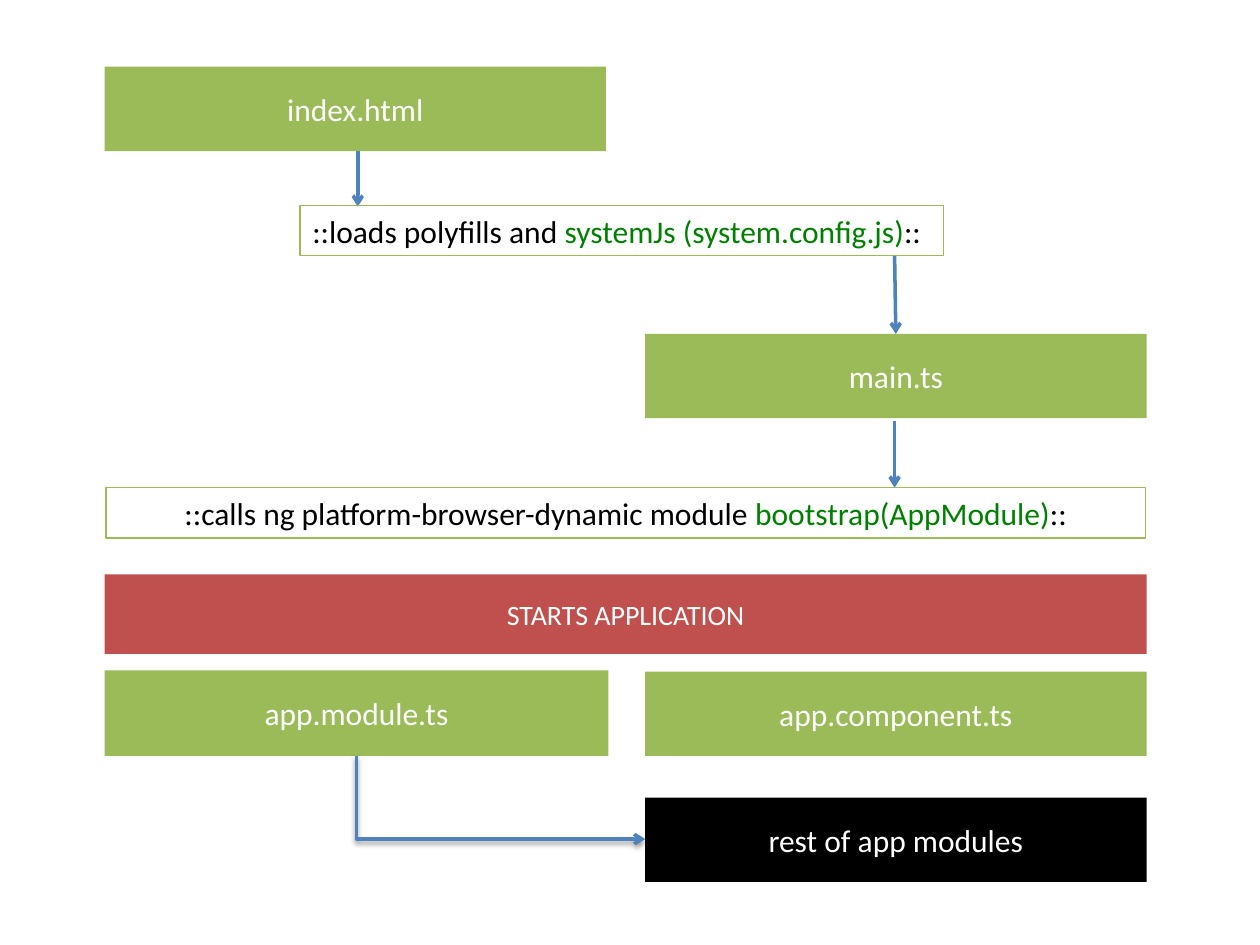
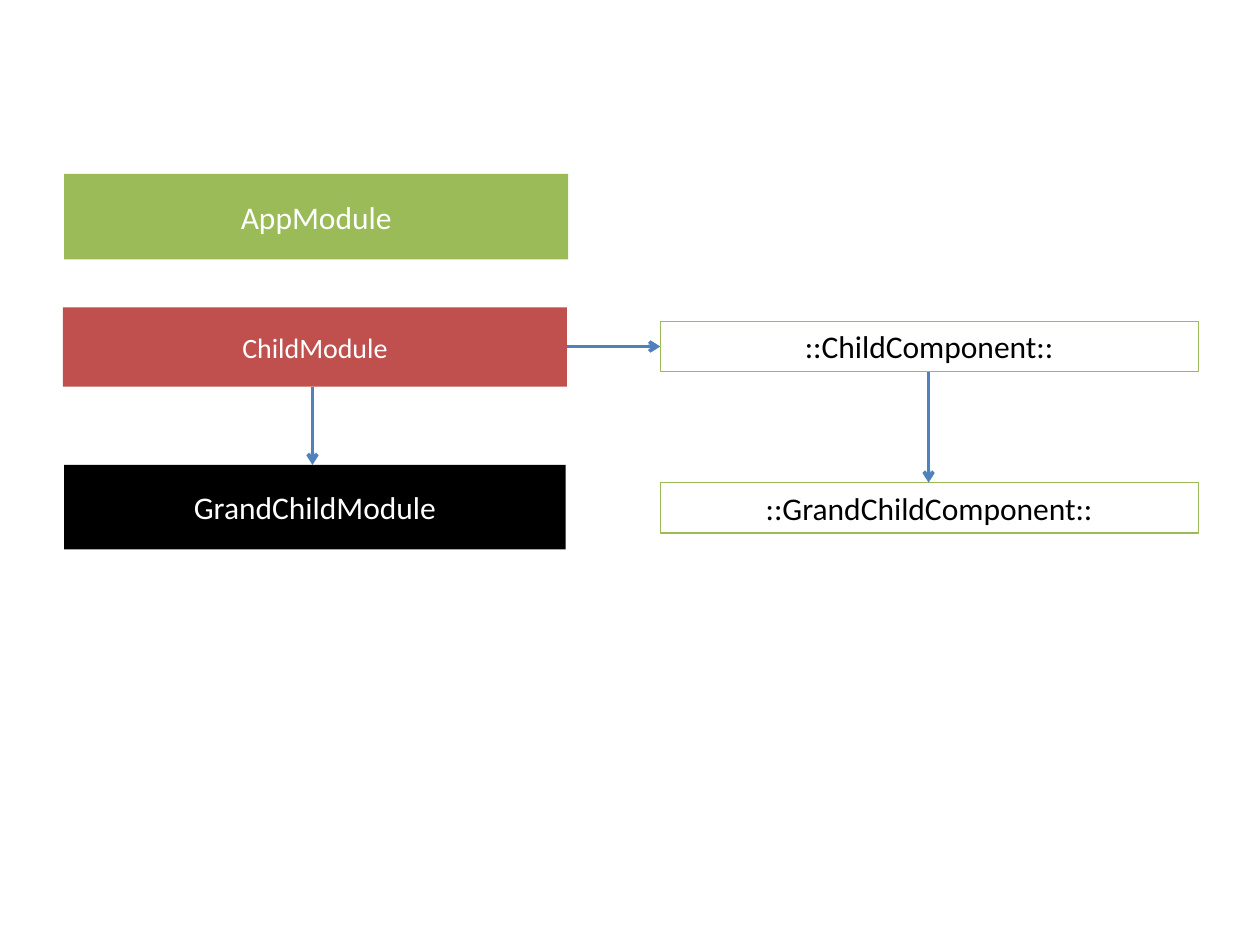
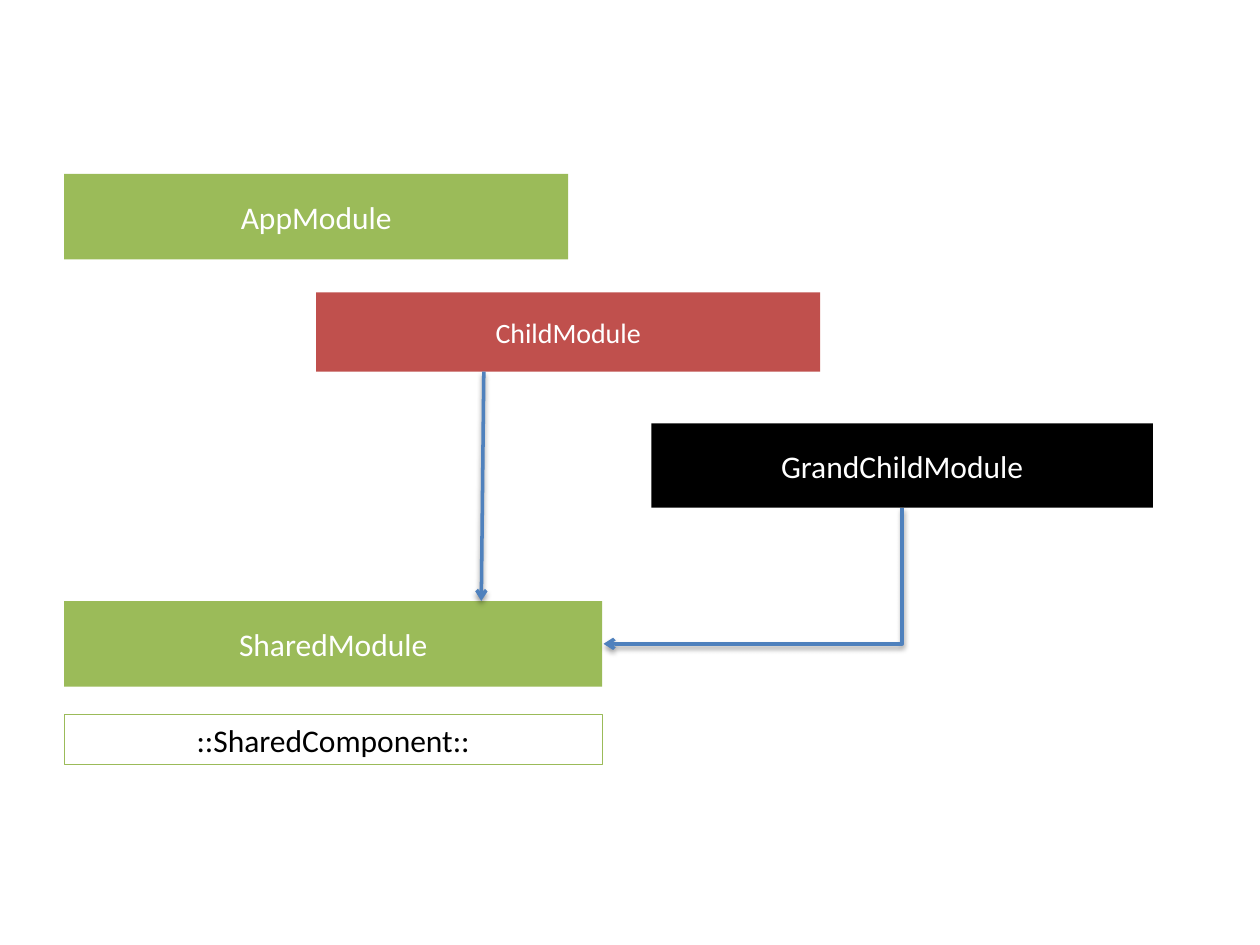
from lxml import etree
from pptx import Presentation
from pptx.dml.color import RGBColor
from pptx.enum.shapes import MSO_CONNECTOR, MSO_SHAPE
from pptx.enum.text import MSO_ANCHOR, MSO_AUTO_SIZE, PP_ALIGN
from pptx.oxml.ns import qn
from pptx.util import Inches, Pt

RECTANGLE = MSO_SHAPE.RECTANGLE
STRAIGHT, ELBOW = MSO_CONNECTOR.STRAIGHT, MSO_CONNECTOR.ELBOW
LEFT, CENTER = PP_ALIGN.LEFT, PP_ALIGN.CENTER
MIDDLE = MSO_ANCHOR.MIDDLE
GROW = MSO_AUTO_SIZE.SHAPE_TO_FIT_TEXT

COLORS = {
    "green": "9BBB59",
    "red": "C0504D",
    "black": "000000",
    "white": "FFFFFF",
    "blue": "4F81BD",
    "code": "008000",
}
FONT = "Calibri"
BLANK_LAYOUT = 6
BOX_WIDTH, BOX_HEIGHT = 3.98, 0.67
BAND_WIDTH, BAND_HEIGHT = 4, 0.63
NOTE_WIDTH, NOTE_HEIGHT = 4.27, 0.4


class Diagram:
    def __init__(self):
        self.presentation = Presentation()
        self.presentation.slide_width = Inches(10)
        self.presentation.slide_height = Inches(7.5)
        self.slide = None

    def color(self, name):
        return RGBColor.from_string(COLORS[name])

    def new_slide(self):
        layout = self.presentation.slide_layouts[BLANK_LAYOUT]
        self.slide = self.presentation.slides.add_slide(layout)

    def format_run(self, run, size, color):
        run.font.name = FONT
        run.font.size = Pt(size)
        run.font.color.rgb = self.color(color)

    def box(self, text, left, top, fill="green", width=BOX_WIDTH, height=BOX_HEIGHT, size=18):
        shape = self.slide.shapes.add_shape(
            RECTANGLE, Inches(left), Inches(top), Inches(width), Inches(height))
        shape.shadow.inherit = False
        shape.fill.solid()
        shape.fill.fore_color.rgb = self.color(fill)
        shape.line.fill.background()
        shape.text_frame.text = text
        shape.text_frame.vertical_anchor = MIDDLE
        paragraph = shape.text_frame.paragraphs[0]
        paragraph.alignment = CENTER
        self.format_run(paragraph.runs[0], size, "white")

    def band(self, text, left, top, width=BAND_WIDTH):
        self.box(text, left, top, "red", width, BAND_HEIGHT, 16)

    def note(self, parts, left, top, width=NOTE_WIDTH, alignment=CENTER, wrap=True):
        shape = self.slide.shapes.add_textbox(
            Inches(left), Inches(top), Inches(width), Inches(NOTE_HEIGHT))
        shape.line.color.rgb = self.color("green")
        shape.line.width = Pt(0.75)
        text_frame = shape.text_frame
        text_frame.word_wrap = wrap
        text_frame.auto_size = GROW
        paragraph = text_frame.paragraphs[0]
        paragraph.alignment = alignment
        for text, color in parts:
            run = paragraph.add_run()
            run.text = text
            self.format_run(run, 18, color)

    def style_connector(self, connector, shadow):
        connector.line.color.rgb = self.color("blue")
        connector.line.width = Pt(2)
        properties = connector._element.spPr
        etree.SubElement(properties.find(qn("a:ln")), qn("a:tailEnd"), type="arrow")
        effects = etree.SubElement(properties, qn("a:effectLst"))
        if shadow:
            outer = etree.SubElement(
                effects, qn("a:outerShdw"), blurRad=str(Pt(3.1)), dist=str(Pt(1.6)),
                dir="5400000", rotWithShape="0")
            tint = etree.SubElement(outer, qn("a:srgbClr"), val=COLORS["black"])
            etree.SubElement(tint, qn("a:alpha"), val="38000")

    def arrow(self, start_x, start_y, end_x, end_y, shadow=False):
        connector = self.slide.shapes.add_connector(
            STRAIGHT, Inches(start_x), Inches(start_y), Inches(end_x), Inches(end_y))
        self.style_connector(connector, shadow)

    def corner_arrow(self, start_x, start_y, end_x, end_y):
        drop, reach = end_y - start_y, abs(end_x - start_x)
        left = (start_x + end_x - drop) / 2
        top = (start_y + end_y - reach) / 2
        rightward = end_x > start_x
        begin, end = (left + drop, left) if rightward else (left, left + drop)
        connector = self.slide.shapes.add_connector(
            ELBOW, Inches(begin), Inches(top), Inches(end), Inches(top + reach))
        properties = connector._element.spPr
        properties.find(qn("a:prstGeom")).set("prst", "bentConnector2")
        degrees = 270 if rightward else 90
        properties.find(qn("a:xfrm")).set("rot", str(degrees * 60000))
        self.style_connector(connector, True)


def component(name):
    return [(f"::{name}::", "black")]


def build_startup(diagram):
    left, right = 0.83, 5.12
    diagram.new_slide()
    diagram.arrow(2.84, 1.2, 2.84, 1.64)
    diagram.note(
        [("::loads polyfills and ", "black"), ("systemJs (system.config.js)", "code"),
         ("::", "black")], 2.38, 1.63, 5.11, LEFT, False)
    diagram.note(
        [("::calls ng platform-browser-dynamic module ", "black"),
         ("bootstrap(AppModule)", "code"), ("::", "black")], 0.84, 3.87, 8.25)
    diagram.arrow(7.1, 3.34, 7.1, 3.87)
    diagram.band("STARTS APPLICATION", left, 4.56, 8.27)
    diagram.box("app.module.ts", left, 5.32, width=4, height=0.68)
    diagram.box("app.component.ts", right, 5.33)
    diagram.box("main.ts", right, 2.65)
    diagram.box("index.html", left, 0.53)
    diagram.arrow(7.1, 2.03, 7.11, 2.65)
    diagram.corner_arrow(2.83, 6, right, 6.66)
    diagram.box("rest of app modules", right, 6.33, "black")


def build_children(diagram):
    left, right = 0.51, 5.24
    diagram.new_slide()
    diagram.note(component("GrandChildComponent"), right, 3.83)
    diagram.arrow(4.5, 2.75, right, 2.75)
    diagram.band("ChildModule", 0.5, 2.44)
    diagram.box("AppModule", left, 1.38, width=4, height=0.68)
    diagram.arrow(2.48, 3.07, 2.48, 3.69)
    diagram.box("GrandChildModule", left, 3.69, "black")
    diagram.arrow(7.37, 2.95, 7.37, 3.83)
    diagram.note(component("ChildComponent"), right, 2.55)


def build_shared(diagram):
    left = 0.51
    diagram.new_slide()
    diagram.band("ChildModule", 2.51, 2.32)
    diagram.box("AppModule", left, 1.38, width=4, height=0.68)
    diagram.box("GrandChildModule", 5.17, 3.36, "black")
    diagram.note(component("SharedComponent"), left, 5.67)
    diagram.box("SharedModule", left, 4.77, width=NOTE_WIDTH, height=0.68)
    diagram.arrow(3.84, 2.95, 3.82, 4.77, shadow=True)
    diagram.corner_arrow(7.16, 4.03, 4.79, 5.11)


diagram = Diagram()
build_startup(diagram)
build_children(diagram)
build_shared(diagram)
diagram.presentation.save("out.pptx")
